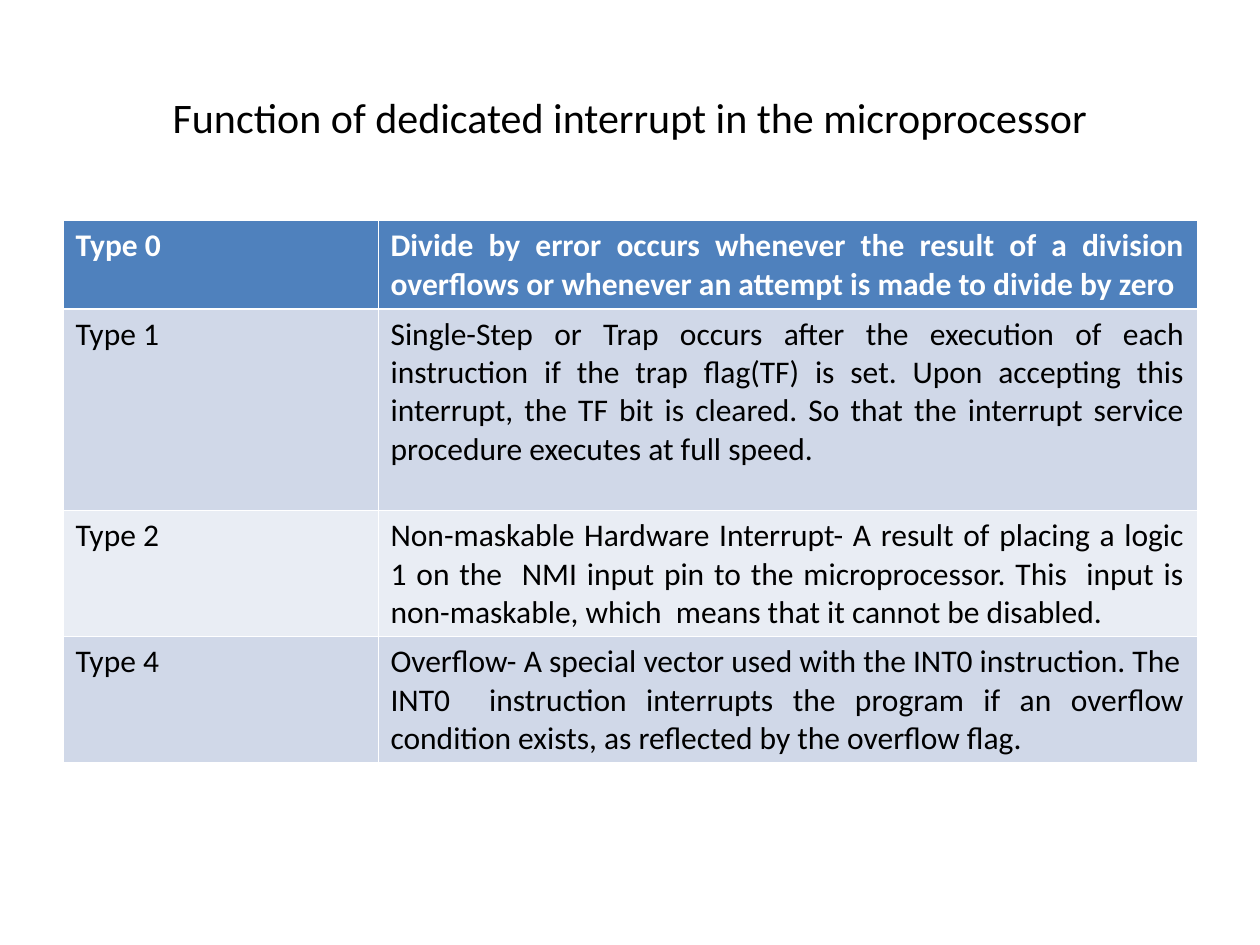
"""Build a slide with a table of dedicated microprocessor interrupts."""
from lxml import etree
from pptx import Presentation
from pptx.dml.color import RGBColor
from pptx.enum.text import MSO_ANCHOR, PP_ALIGN
from pptx.oxml.ns import qn
from pptx.util import Inches, Pt

LEFT, CENTER, JUSTIFY = PP_ALIGN.LEFT, PP_ALIGN.CENTER, PP_ALIGN.JUSTIFY
MIDDLE = MSO_ANCHOR.MIDDLE
COLORS = {"black": "000000", "white": "FFFFFF", "header": "4F81BD",
          "odd": "D0D8E8", "even": "E9EDF4"}


def write_text(frame, text, size=18, color="black", bold=False, align=LEFT):
    for index, line in enumerate(text.split("\n")):
        para = frame.paragraphs[0] if index == 0 else frame.add_paragraph()
        para.alignment = align
        span = para.add_run()
        span.text = line
        span.font.name = "Calibri"
        span.font.size = Pt(size)
        span.font.bold = bold
        span.font.color.rgb = RGBColor.from_string(COLORS[color])


def add_borders(cell, widths):
    properties = cell._tc.get_or_add_tcPr()
    for index, (side, width) in enumerate(widths.items()):
        line = etree.Element(qn(f"a:ln{side}"), w=str(Pt(width)))
        fill = etree.SubElement(line, qn("a:solidFill"))
        etree.SubElement(fill, qn("a:srgbClr"), val=COLORS["white"])
        properties.insert(index, line)


deck = Presentation()
deck.slide_width, deck.slide_height = Inches(10), Inches(7.5)
page = deck.slides.add_slide(deck.slide_layouts[6])

title_box = page.shapes.add_textbox(Inches(0.5), Inches(0.3), Inches(9), Inches(1.25))
title_box.text_frame.word_wrap = True
title_box.text_frame.vertical_anchor = MIDDLE
write_text(title_box.text_frame, "Function of dedicated interrupt in the microprocessor",
           size=24, align=CENTER)

interrupts = [
    ("Type 0", 0.7, "header",
     "Divide by error occurs whenever the result of a division overflows "
     "or whenever an attempt is made to divide by zero"),
    ("Type 1", 1.6, "odd",
     "Single-Step or Trap occurs after the execution of each instruction if "
     "the trap flag(TF) is set. Upon accepting this interrupt, the TF bit is "
     "cleared. So that the interrupt service procedure executes at full speed. "),
    ("Type 2", 1, "even",
     "Non-maskable Hardware Interrupt- A result of placing a logic 1 on the  NMI "
     "input pin to the microprocessor. This  input is non-maskable, which  means "
     "that it cannot be disabled."),
    ("Type 4", 1, "odd",
     "Overflow- A special vector used with the INT0 instruction. The\n"
     "INT0  instruction interrupts the program if an overflow condition exists, "
     "as reflected by the overflow flag."),
]

table = page.shapes.add_table(len(interrupts), 2, Inches(0.5), Inches(1.75),
                              Inches(9), Inches(4.3)).table
for column, width in zip(table.columns, (2.5, 6.5)):
    column.width = Inches(width)

for number, (name, height, fill, description) in enumerate(interrupts):
    table.rows[number].height = Inches(height)
    header = number == 0
    borders = {"L": 0.45, "R": 0.45, "T": 1.47 if number == 1 else 0.45,
               "B": 1.47 if header else 0.45}
    for column, (text, align) in enumerate(((name, LEFT), (description, JUSTIFY))):
        cell = table.cell(number, column)
        cell.fill.solid()
        cell.fill.fore_color.rgb = RGBColor.from_string(COLORS[fill])
        add_borders(cell, borders)
        write_text(cell.text_frame, text, color="white" if header else "black",
                   bold=header, align=align)

deck.save("out.pptx")
